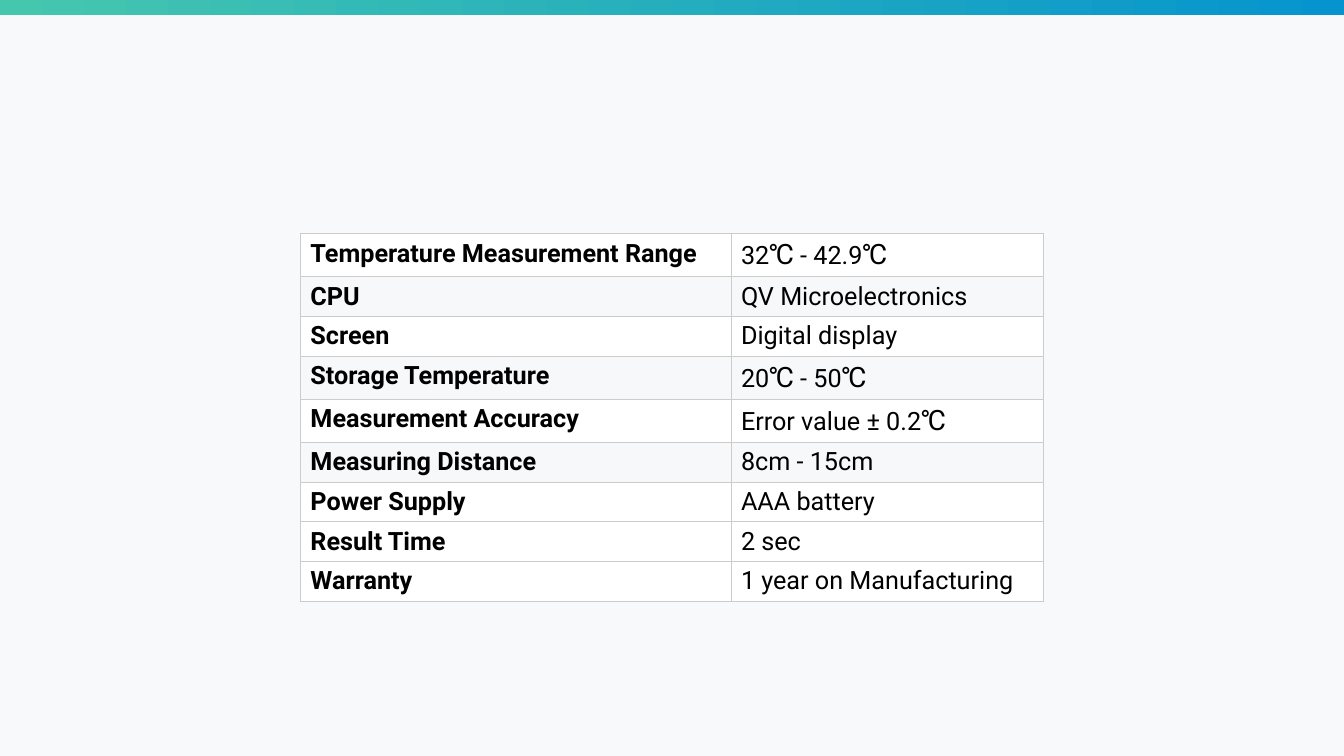
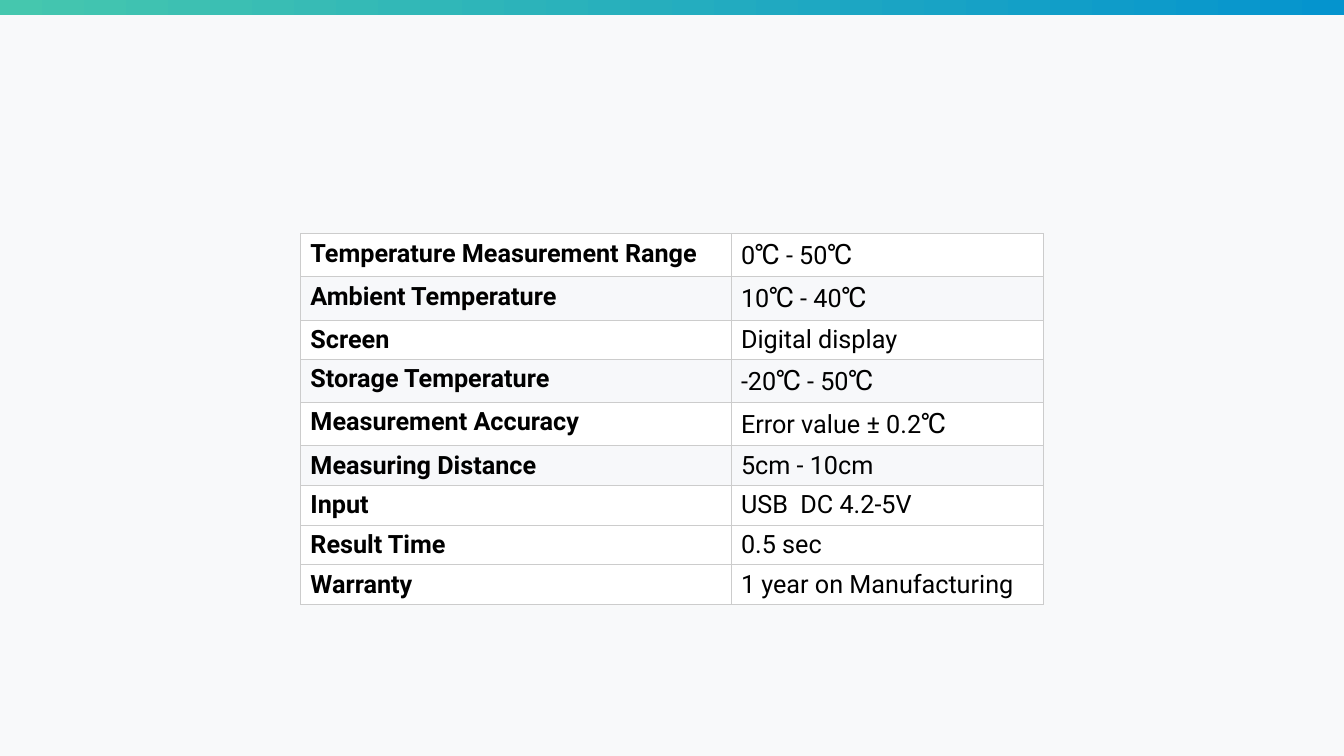
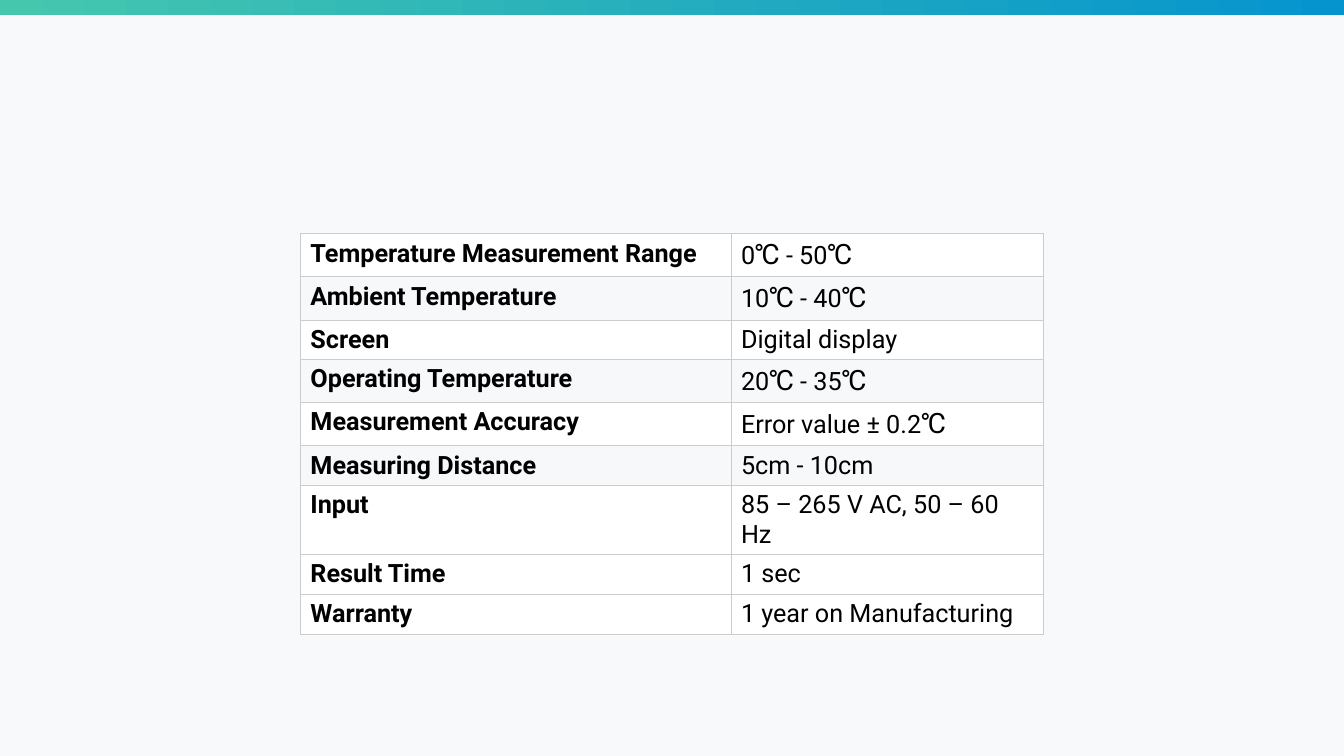
from itertools import groupby

from lxml import etree
from pptx import Presentation
from pptx import util as u
from pptx.dml.color import RGBColor
from pptx.enum import shapes
from pptx.oxml import ns

Cm, Pt = u.Cm, u.Pt

PAGE = RGBColor(0xF8, 0xF9, 0xFA)
GREEN = RGBColor(0x45, 0xC7, 0xAE)
BLUE = RGBColor(0x05, 0x94, 0xCE)
BLACK = RGBColor(0x00, 0x00, 0x00)
WHITE = RGBColor(0xFF, 0xFF, 0xFF)
PALE = RGBColor(0xF7, 0xF8, 0xFA)
GRID = RGBColor(0xCC, 0xCC, 0xCC)

WIDTH, HEIGHT = Cm(33.87), Cm(19.05)
DEGREE = "\u2103"

TITLE = "Temperature Measurement Range"
SCREEN = ("Screen", "Digital display")
EXACT = ("Measurement Accuracy", "Error value ± 0.2℃")
REACH = "Measuring Distance"
TIME = "Result Time"
COVER = ("Warranty", "1 year on Manufacturing")
CLIMATE = [(TITLE, "0℃ - 50℃"), ("Ambient Temperature", "10℃ - 40℃"), SCREEN]
NEAR = [EXACT, (REACH, "5cm - 10cm")]

# Each entry: table height in cm, then its rows
TABLES = [
    (9.4, [
        (TITLE, "32℃ - 42.9℃"),
        ("CPU", "QV Microelectronics"),
        SCREEN,
        ("Storage Temperature", "20℃ - 50℃"),
        EXACT,
        (REACH, "8cm - 15cm"),
        ("Power Supply", "AAA battery"),
        (TIME, "2 sec"),
        COVER,
    ]),
    (9.47, [
        *CLIMATE,
        ("Storage Temperature", "-20℃ - 50℃"),
        *NEAR,
        ("Input", "USB\u00a0 DC 4.2-5V"),
        (TIME, "0.5 sec"),
        COVER,
    ]),
    (9.47, [
        *CLIMATE,
        ("Operating Temperature", "20℃ - 35℃"),
        *NEAR,
        ("Input", "85 – 265 V AC, 50 – 60 Hz"),
        (TIME, "1 sec"),
        COVER,
    ]),
]


class Deck:
    """Holds the shared style and the current slide."""

    face = "Roboto"
    size, large = Pt(18), Pt(20)
    cols = (Cm(10.85), Cm(7.88))
    row = Cm(0.43)
    shaded = (1, 3, 5)

    def __init__(self):
        """Set up the page size and background."""
        self.prs = Presentation()
        self.prs.slide_width, self.prs.slide_height = WIDTH, HEIGHT
        fill = self.prs.slide_master.background.fill
        fill.solid()
        fill.fore_color.rgb = PAGE
        self.slide = None

    def page(self):
        """Start a slide with the gradient band on top."""
        self.slide = self.prs.slides.add_slide(self.prs.slide_layouts[6])
        band = self.slide.shapes.add_shape(
            shapes.MSO_SHAPE.RECTANGLE, 0, Cm(-0.05), WIDTH, Cm(0.43))
        band.shadow.inherit = False
        band.line.fill.background()
        band.fill.gradient()
        band.fill.gradient_angle = 0
        for stop, shade, place in zip(
                band.fill.gradient_stops, (GREEN, BLUE), (0, 1)):
            stop.color.rgb = shade
            stop.position = place

    def table(self, left, top, high, rows):
        """Draw a two-column table of labels and values."""
        frame = self.slide.shapes.add_table(
            len(rows), 2, left, top, sum(self.cols), self.row * len(rows))
        grid = frame.table
        grid.first_row = grid.horz_banding = False
        for col, wide in zip(grid.columns, self.cols):
            col.width = wide
        for i, pair in enumerate(rows):
            shade = PALE if i in self.shaded else WHITE
            for j, words in enumerate(pair):
                cell = grid.cell(i, j)
                self.border(cell)
                cell.fill.solid()
                cell.fill.fore_color.rgb = shade
                self.label(cell.text_frame.paragraphs[0], words, j == 0)
        frame.height = high

    def border(self, cell):
        """Rule all four sides of a cell."""
        props = cell._tc.get_or_add_tcPr()
        for side in ("a:lnL", "a:lnR", "a:lnT", "a:lnB"):
            line = etree.SubElement(props, ns.qn(side), w=str(Pt(0.6)))
            fill = etree.SubElement(line, ns.qn("a:solidFill"))
            etree.SubElement(fill, ns.qn("a:srgbClr"), val=str(GRID))

    def label(self, para, words, bold):
        """Add text, with degree signs set larger."""
        for sign, part in groupby(words, lambda c: c == DEGREE):
            run = para.add_run()
            run.text = "".join(part)
            look = {"name": self.face, "bold": bold,
                    "size": self.large if sign else self.size}
            for key, value in look.items():
                setattr(run.font, key, value)
            run.font.color.rgb = BLACK
            etree.SubElement(run._r.get_or_add_rPr(), ns.qn("a:ea"),
                             typeface=self.face)


def main():
    """Build one slide for each table."""
    deck = Deck()
    for high, rows in TABLES:
        deck.page()
        deck.table(Cm(7.57), Cm(5.89), Cm(high), rows)
    deck.prs.save("out.pptx")


main()
